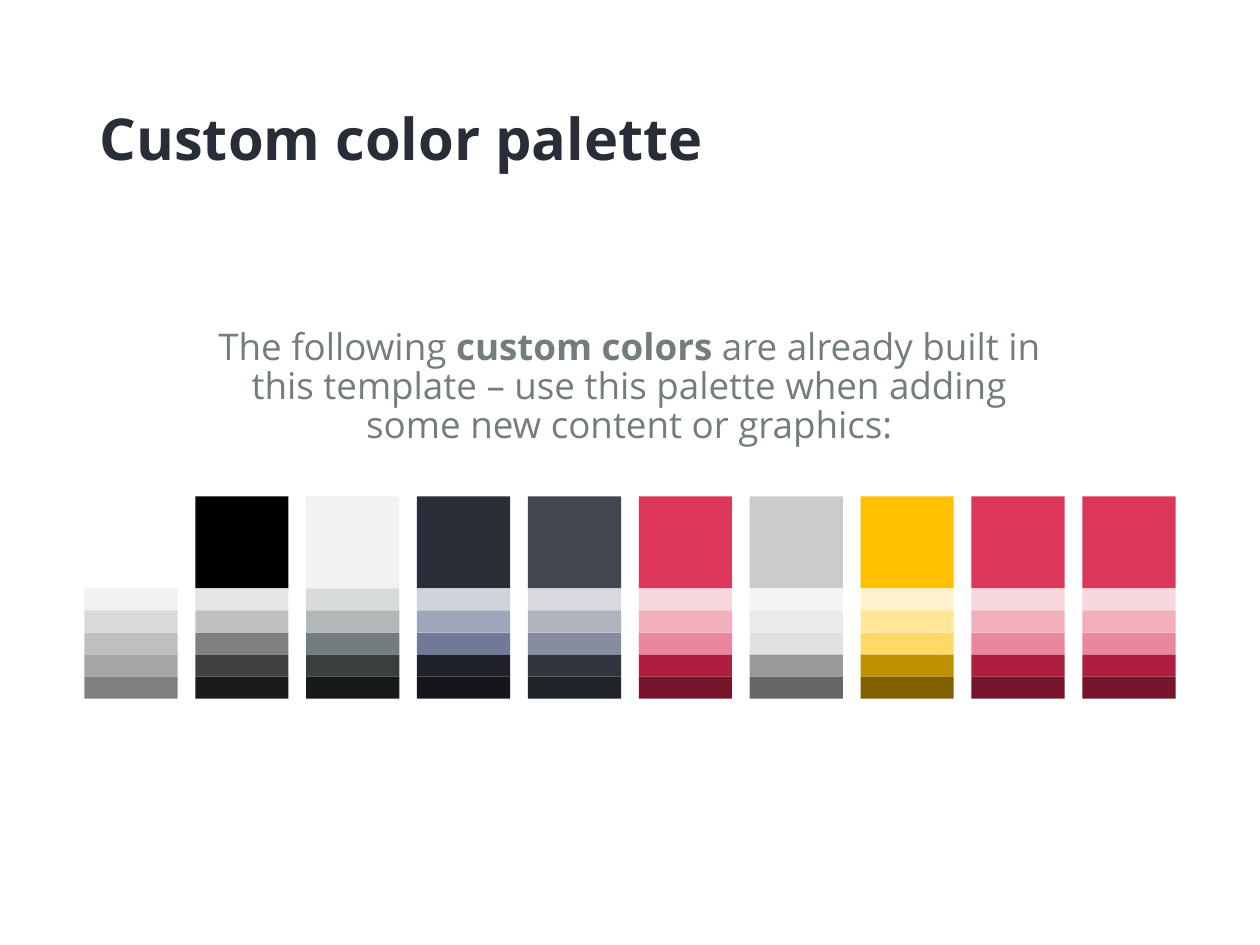
from pptx import Presentation
from pptx.dml.color import RGBColor
from pptx.enum.shapes import MSO_SHAPE
from pptx.enum.text import MSO_ANCHOR, MSO_AUTO_SIZE, PP_ALIGN
from pptx.util import Pt

PX = 4572  # EMU per px, 200 px to the inch
FONT = "Open Sans"
DARK, GREY = "292D38", "747D7D"

RED_SHADES = ["DC365B", "F8D7DE", "F1AFBD", "EA869D", "AF1E3F", "75142A"]
# Each column: base colour, then its shades from top to bottom
PALETTE = [
    ["FFFFFF", "F2F2F2", "D9D9D9", "BFBFBF", "A6A6A6", "808080"],
    ["000000", "E6E6E6", "BFBFBF", "808080", "404040", "1A1A1A"],
    ["F1F2F2", "D8DBDB", "B2B8B8", "747D7D", "3A3F3F", "171919"],
    ["292D38", "CFD3DC", "A0A6B9", "707A96", "1F222A", "14161C"],
    ["414651", "D7D9DF", "AEB3BE", "868D9E", "31353D", "202328"],
    RED_SHADES,
    ["CBCBCA", "F5F5F4", "EAEAEA", "E0E0DF", "999997", "666664"],
    ["FFC000", "FFF2CC", "FFE699", "FFD966", "BF9000", "806000"],
    RED_SHADES,
    RED_SHADES,
]
PALETTE_LEFT, PALETTE_TOP = 134, 788
COLUMN_STEP, SWATCH_WIDTH = 176, 148
BASE_HEIGHT, SHADE_HEIGHT = 146, 35


def color(value):
    return RGBColor.from_string(value)


def box(*lengths):
    return [length * PX for length in lengths]


class PaletteSlide:
    def __init__(self, slide):
        self.slide = slide

    def style(self, paragraph, size, value, spacing):
        paragraph.font.name = FONT
        paragraph.font.size = Pt(size)
        paragraph.font.color.rgb = color(value)
        paragraph.line_spacing = spacing

    def title(self, text, left, top, width, height):
        title = self.slide.shapes.title
        title.left, title.top, title.width, title.height = box(left, top, width, height)
        frame = title.text_frame
        frame.text = text
        frame.vertical_anchor = MSO_ANCHOR.MIDDLE
        paragraph = frame.paragraphs[0]
        paragraph.alignment = PP_ALIGN.LEFT
        self.style(paragraph, 33, DARK, 0.9)
        paragraph.font.bold = True

    def text(self, runs, left, top, width, height):
        """Add a centred paragraph from (text, bold) pairs."""
        shape = self.slide.shapes.add_textbox(*box(left, top, width, height))
        frame = shape.text_frame
        frame.word_wrap = True
        frame.auto_size = MSO_AUTO_SIZE.SHAPE_TO_FIT_TEXT
        paragraph = frame.paragraphs[0]
        paragraph.alignment = PP_ALIGN.CENTER
        self.style(paragraph, 21, GREY, 0.89)
        for words, bold in runs:
            run = paragraph.add_run()
            run.text = words
            run.font.bold = bold

    def swatch(self, group, fill, left, top, height):
        shape = group.shapes.add_shape(
            MSO_SHAPE.RECTANGLE, *box(left, top, SWATCH_WIDTH, height))
        shape.shadow.inherit = False
        shape.fill.solid()
        shape.fill.fore_color.rgb = color(fill)
        shape.line.fill.background()

    def palette(self, columns):
        group = self.slide.shapes.add_group_shape()
        for column, (base, *shades) in enumerate(columns):
            left = PALETTE_LEFT + column * COLUMN_STEP
            self.swatch(group, base, left, PALETTE_TOP, BASE_HEIGHT)
            for row, shade in enumerate(shades):
                top = PALETTE_TOP + BASE_HEIGHT + row * SHADE_HEIGHT
                self.swatch(group, shade, left, top, SHADE_HEIGHT)


def main():
    presentation = Presentation()
    presentation.slide_width, presentation.slide_height = box(2000, 1500)
    slide = PaletteSlide(presentation.slides.add_slide(presentation.slide_layouts[5]))
    slide.title("Custom color palette", 138, 80, 1724, 290)
    slide.palette(PALETTE)
    slide.text([
        ("The following ", False),
        ("custom colors ", True),
        ("are already built in this template – use this palette "
         "when adding some new content or graphics:", False),
    ], 310, 512, 1378, 232)
    presentation.save("out.pptx")


if __name__ == "__main__":
    main()
